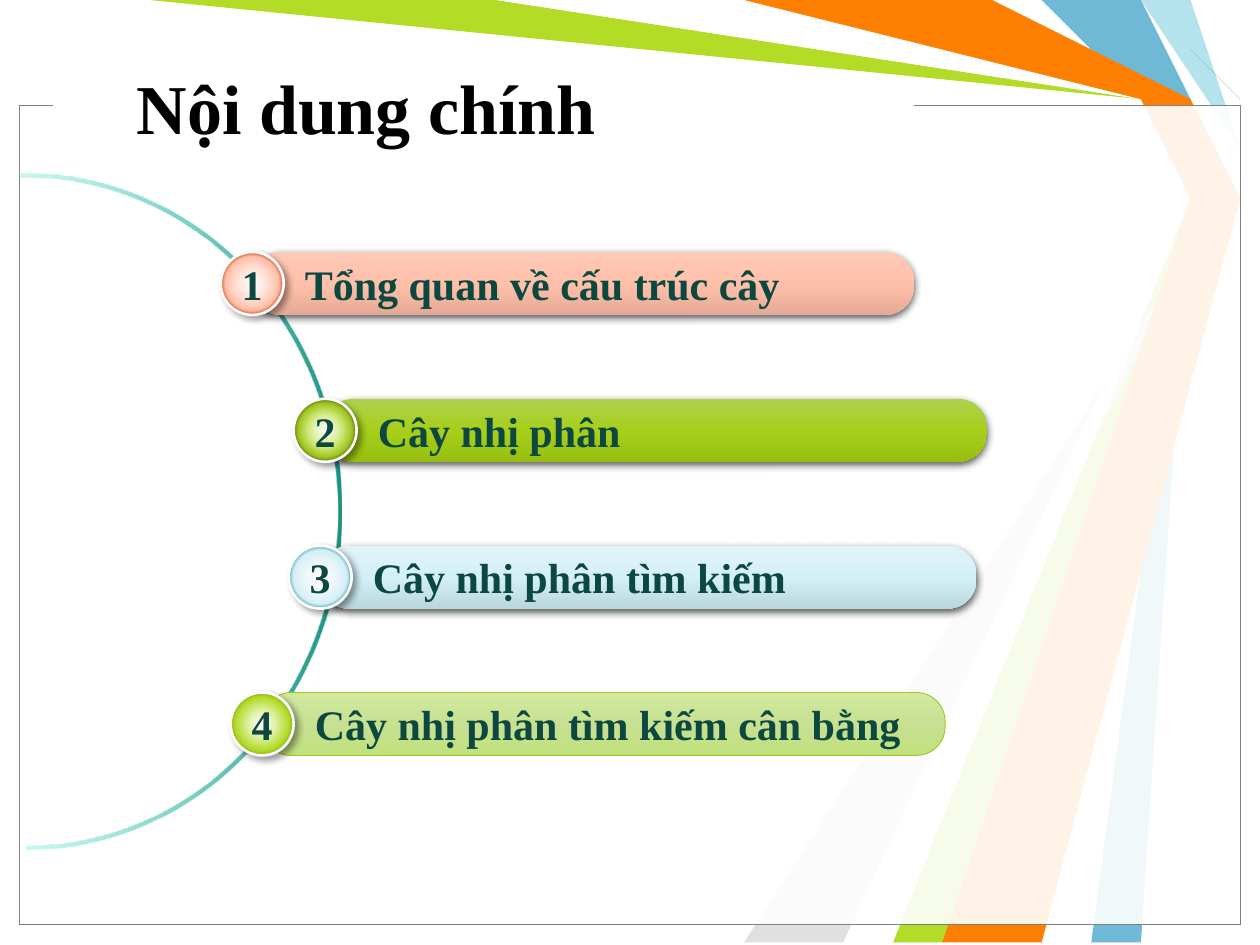
from pptx import Presentation
from pptx.dml.color import RGBColor
from pptx.enum.shapes import MSO_SHAPE
from pptx.enum.text import MSO_ANCHOR, PP_ALIGN
from pptx.oxml import parse_xml
from pptx.oxml.ns import nsdecls, qn
from pptx.util import Cm, Pt

TITLE = "Nội dung chính"
FONT = "Times New Roman"
INK = "0C4840"

RIBBONS = [
    ("6FB9D7", [(22.66, 0), (23.6, 1.96), (24.33, 4.24), (23.14, 19.02),
                (21.74, 19.02), (24.13, 4.24), (23.29, 1.91), (21.29, 0)]),
    ("B3DC27", [(2.97, 0), (9.73, 0), (23.22, 1.98), (23.93, 4.29),
                (18.85, 19.05), (17.58, 19.05), (23.75, 4.39), (22.89, 2.31)]),
    ("E0E0E0", [(16.94, 19.05), (23.55, 4.6), (15.24, 19.05)]),
    ("FFFFFF", [(9.53, 0), (23.11, 2.08), (23.67, 4.11), (17.15, 19.05),
                (17.78, 19.05), (23.9, 4.01), (23.29, 1.91), (15.24, 0)]),
    ("B4E3EE", [(23.5, 0), (23.29, 0.43), (24.84, 3.05), (25.4, 3.18),
                (25.4, 2.54), (23.5, 0.43), (23.67, 0)]),
    ("189180", [(25.4, 2.11), (23.93, 0.64), (25.4, 1.7)]),
    ("FF7F00", [(15.44, 0), (20.12, 0), (23.62, 1.78), (24.54, 4.29),
                (21.16, 19.05), (18.62, 19.05), (23.93, 4.01), (23.29, 1.91)]),
    ("F93D17", [(18.59, 19.05), (23.67, 4.65), (19.02, 19.05)]),
]
FRAME_LINES = ["000000", "808080"]
ARC_STOPS = [(0, "189180", 100), (46, "8AECDE", 55), (95, "C4F5EE", 0)]
TOPICS = [
    dict(text="Tổng quan về cấu trúc cây", left=4.45, width=13.34, line=None,
         bar=["FFCAB8", "FFC0AA", "E5AA95"],
         ball=["FEFEFE", "FFE6DD", "FFD9CC", "FFC0AA", "D43700"]),
    dict(text="Cây nhị phân", left=5.92, width=13.34, line=None,
         bar=["AED14F", "A7CF1A", "98BF10"],
         ball=["FEFEFE", "DDEFA0", "CCE771", "A2C722", "516411"]),
    dict(text="Cây nhị phân tìm kiếm", left=5.82, width=13.23, line=None,
         bar=["DFF3F8", "D4F0F7", "BAD7DE"],
         ball=["FEFEFE", "EFF9FB", "E6F5F9", "D6EFF5", "2D9EB9"]),
    dict(text="Cây nhị phân tìm kiếm cân bằng", left=4.65, width=13.77, line="A2C722",
         bar=["D1EA9F", "C7E092", "C1E17D"],
         ball=["FEFEFE", "E1F1A9", "D1EA7D", "B3DC27", "87A71B"]),
]
BAR_POSITIONS = [0, 50, 100]
BALL_POSITIONS = [0, 30, 40, 60, 73]
FIRST_TOP, ROW_STEP, ROW_HEIGHT = 5.08, 2.96, 1.27


def color(value):
    return RGBColor.from_string(value)


def paint(shape, fill, line=None, weight=0.75, alpha=100):
    shape.shadow.inherit = False
    shape.fill.solid()
    shape.fill.fore_color.rgb = color(fill)
    if alpha < 100:
        tint = shape._element.spPr.find(qn("a:solidFill"))[0]
        tint.append(parse_xml(f'<a:alpha {nsdecls("a")} val="{alpha * 1000}"/>'))
    if line:
        shape.line.color.rgb = color(line)
        shape.line.width = Pt(weight)
    else:
        shape.line.fill.background()


def blend(shape, stops, round_path=False):
    steps = "".join(
        f'<a:gs pos="{place * 1000}"><a:srgbClr val="{value}">'
        f'<a:alpha val="{alpha * 1000}"/></a:srgbClr></a:gs>'
        for place, value, alpha in stops)
    course = '<a:lin ang="5400000" scaled="0"/>'
    if round_path:
        course = ('<a:path path="circle"><a:fillToRect l="50000" t="50000" '
                  'r="50000" b="50000"/></a:path>')
    properties = shape._element.spPr
    properties.replace(
        properties.find(qn("a:solidFill")),
        parse_xml(f'<a:gradFill {nsdecls("a")} rotWithShape="1">'
                  f'<a:gsLst>{steps}</a:gsLst>{course}</a:gradFill>'))


def cast_shadow(shape, blur, distance, angle, alpha):
    effects = shape._element.spPr.find(qn("a:effectLst"))
    effects.append(parse_xml(
        f'<a:outerShdw {nsdecls("a")} blurRad="{Pt(blur)}" dist="{Pt(distance)}" '
        f'dir="{angle * 60000}" algn="ctr" rotWithShape="0"><a:srgbClr val="000000">'
        f'<a:alpha val="{alpha * 1000}"/></a:srgbClr></a:outerShdw>'))


def write(shape, text, size=24, ink=INK, align=PP_ALIGN.LEFT, left=0.25, right=0.25, wrap=True):
    frame = shape.text_frame
    frame.word_wrap = wrap
    frame.vertical_anchor = MSO_ANCHOR.MIDDLE
    frame.margin_left, frame.margin_right = Cm(left), Cm(right)
    para = frame.paragraphs[0]
    para.alignment = align
    span = para.add_run()
    span.text = text
    span.font.name = FONT
    span.font.size = Pt(size)
    span.font.bold = True
    span.font.color.rgb = color(ink)


def add_box(page, kind, left, top, width, height):
    return page.shapes.add_shape(kind, Cm(left), Cm(top), Cm(width), Cm(height))


def add_backdrop(page):
    for fill, points in RIBBONS:
        builder = page.shapes.build_freeform(*points[0], scale=Cm(1))
        builder.add_line_segments(points[1:], close=True)
        paint(builder.convert_to_shape(), fill)
    for line in FRAME_LINES:
        frame = add_box(page, MSO_SHAPE.RECTANGLE, 0.4, 2.13, 24.61, 16.51)
        paint(frame, "FFFFFF", line, alpha=69)
    paint(add_box(page, MSO_SHAPE.RECTANGLE, 1.07, 1.88, 17.35, 0.43), "FFFFFF")


def add_title(page):
    title = page.shapes.title
    title.left, title.top, title.width, title.height = Cm(2.51), Cm(0.56), Cm(17.5), Cm(3.18)
    write(title, TITLE, size=40, ink="000000")
    page.shapes._spTree.append(title._element)


def add_arc(page):
    arc = add_box(page, MSO_SHAPE.BLOCK_ARC, -6.27, 3.99, 13.64, 12.65)
    arc.rotation = 90
    for index, value in enumerate([107.23, 0.09, 0.01]):
        arc.adjustments[index] = value
    arc.adjustments[2] = 0.007
    paint(arc, "189180")
    blend(arc, ARC_STOPS)


def add_topic(page, index, topic):
    top = FIRST_TOP + index * ROW_STEP
    bar = add_box(page, MSO_SHAPE.ROUNDED_RECTANGLE, topic["left"] + ROW_HEIGHT / 2, top,
                  topic["width"], ROW_HEIGHT)
    bar.adjustments[0] = 0.46
    paint(bar, topic["bar"][1], topic["line"], weight=0.5)
    blend(bar, [(place, value, 100) for place, value in zip(BAR_POSITIONS, topic["bar"])])
    if not topic["line"]:
        cast_shadow(bar, 4.5, 1.5, 90, 63)
    write(bar, topic["text"], left=0.89)

    ball = add_box(page, MSO_SHAPE.OVAL, topic["left"], top, ROW_HEIGHT, ROW_HEIGHT)
    paint(ball, topic["ball"][0], "FEFEFE", weight=1.5)
    blend(ball, [(place, value, 100) for place, value in zip(BALL_POSITIONS, topic["ball"])],
          round_path=True)
    cast_shadow(ball, 4, 3, 45, 40)
    write(ball, str(index + 1), align=PP_ALIGN.CENTER, left=0, right=0, wrap=False)


def main():
    deck = Presentation()
    deck.slide_width, deck.slide_height = Cm(25.4), Cm(19.05)
    page = deck.slides.add_slide(deck.slide_layouts[5])
    add_backdrop(page)
    add_title(page)
    add_arc(page)
    for index, topic in enumerate(TOPICS):
        add_topic(page, index, topic)
    deck.save("out.pptx")


if __name__ == "__main__":
    main()
